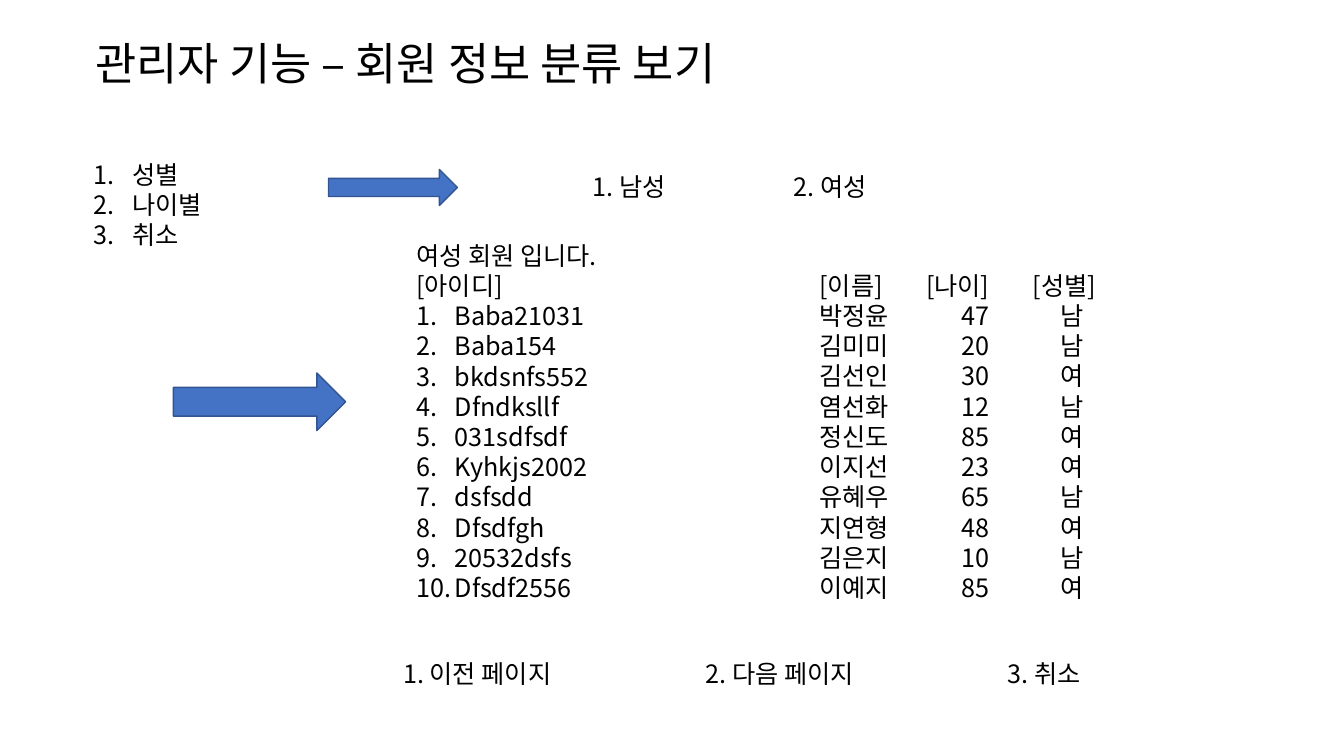
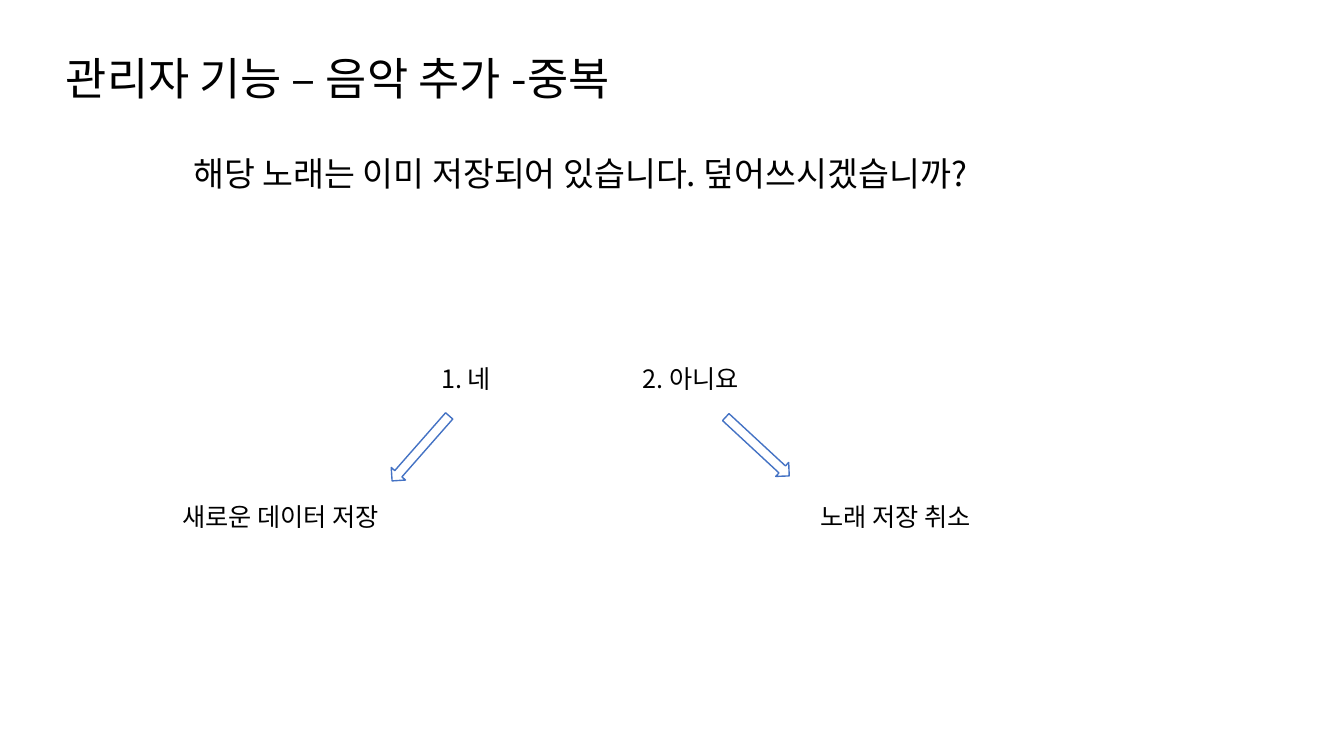
from dataclasses import dataclass
from lxml import etree
from pptx import Presentation
from pptx.dml.color import RGBColor
from pptx.enum.shapes import MSO_SHAPE
from pptx.enum.text import MSO_ANCHOR, MSO_AUTO_SIZE, PP_ALIGN
from pptx.oxml.ns import qn
from pptx.util import Cm, Pt

RIGHT_ARROW = MSO_SHAPE.RIGHT_ARROW
DOWN_ARROW = MSO_SHAPE.DOWN_ARROW
BOTTOM = MSO_ANCHOR.BOTTOM
CENTER, LEFT = PP_ALIGN.CENTER, PP_ALIGN.LEFT
FIT_SHAPE, FIXED_SHAPE = MSO_AUTO_SIZE.SHAPE_TO_FIT_TEXT, MSO_AUTO_SIZE.NONE


@dataclass(frozen=True)
class Theme:
    font: str = "Noto Sans CJK KR"
    text: str = "000000"
    accent: str = "4472C4"
    accent_dark: str = "325491"
    background: str = "FFFFFF"
    title_size: int = 32
    question_size: int = 24
    body_size: int = 18
    line_width: int = 1
    number_indent: float = 0.97


THEME = Theme()
TITLE_ONLY = 5

MEMBER_TITLE = ("관리자 기능 – 회원 정보 분류 보기", (-1.88, 0.66, 24.21, 1.75))
SORT_MENU = ["성별", "나이별", "취소"]
GENDER_CHOICES = ["1. 남성", "2. 여성"]
PAGE_CHOICES = ["1. 이전 페이지", "2. 다음 페이지", "3. 취소"]
MEMBER_MESSAGE = "여성 회원 입니다."
ID_HEADING = "[아이디]"
DETAIL_COLUMNS = [("[이름]", 0), ("[나이]", 0.89), ("[성별]", 0.69)]
MEMBERS = [
    ("Baba21031", "박정윤", "47", "남"),
    ("Baba154", "김미미", "20", "남"),
    ("bkdsnfs552", "김선인", "30", "여"),
    ("Dfndksllf", "염선화", "12", "남"),
    ("031sdfsdf", "정신도", "85", "여"),
    ("Kyhkjs2002", "이지선", "23", "여"),
    ("dsfsdd", "유혜우", "65", "남"),
    ("Dfsdfgh", "지연형", "48", "여"),
    ("20532dsfs", "김은지", "10", "남"),
    ("Dfsdf2556", "이예지", "85", "여"),
]
MEMBER_ARROWS = [(8.28, 4.27, 3.25, 0.91), (4.37, 9.4, 4.34, 1.45)]

DUPLICATE_TITLE = ("관리자 기능 – 음악 추가 -중복", (0, 1.02, 17.02, 1.75))
QUESTION = "해당 노래는 이미 저장되어 있습니다. 덮어쓰시겠습니까?"
ANSWERS = ["1. 네", "2. 아니요"]
OUTCOMES = [
    ("새로운 데이터 저장", (4.34, 12.52, 9.09, 1.02)),
    ("노래 저장 취소", (20.42, 12.52, 13, 1.02)),
]
ANSWER_ARROWS = [
    ((10.36, 10.21, 0.48, 2.18), 41.3),
    ((18.85, 10.16, 0.48, 2.18), 312.8),
]


def lengths(box):
    return [Cm(value) for value in box]


def apply(target, values):
    for name, value in values.items():
        setattr(target, name, value)


def write(paragraph, text, size, align=LEFT):
    run = paragraph.add_run()
    run.text = text
    apply(run.font, {"size": Pt(size), "name": THEME.font, "bold": False})
    run.font.color.rgb = RGBColor.from_string(THEME.text)
    east_asian = etree.SubElement(run.font._element, qn("a:ea"))
    east_asian.set("typeface", THEME.font)
    paragraph.alignment = align


def add_title_slide(presentation, title, box):
    slide = presentation.slides.add_slide(presentation.slide_layouts[TITLE_ONLY])
    shape = slide.shapes.title
    apply(shape, dict(zip(("left", "top", "width", "height"), lengths(box))))
    apply(shape.text_frame, {"vertical_anchor": BOTTOM, "word_wrap": True,
                             "auto_size": FIXED_SHAPE})
    paragraph = shape.text_frame.paragraphs[0]
    write(paragraph, title, THEME.title_size, CENTER)
    paragraph.line_spacing = 0.9
    return slide


def add_text(slide, box, lines, size=THEME.body_size):
    frame = slide.shapes.add_textbox(*lengths(box)).text_frame
    apply(frame, {"word_wrap": True, "auto_size": FIT_SHAPE})
    for index, line in enumerate(lines):
        paragraph = frame.add_paragraph() if index else frame.paragraphs[0]
        write(paragraph, line, size)
    return frame.paragraphs


def indent(paragraphs, distance):
    for paragraph in paragraphs:
        paragraph._p.get_or_add_pPr().set("marL", str(Cm(distance)))


def number(paragraphs):
    indent(paragraphs, THEME.number_indent)
    for paragraph in paragraphs:
        properties = paragraph._p.get_or_add_pPr()
        properties.set("indent", str(-Cm(THEME.number_indent)))
        bullet = etree.SubElement(properties, qn("a:buAutoNum"))
        bullet.set("type", "arabicPeriod")


def add_choices(slide, box, choices, step):
    paragraph = add_text(slide, box, ["\t".join(choices)])[0]
    tabs = etree.SubElement(paragraph._p.get_or_add_pPr(), qn("a:tabLst"))
    for position in range(1, len(choices)):
        tab = etree.SubElement(tabs, qn("a:tab"))
        tab.set("pos", str(Cm(step * position)))
        tab.set("algn", "l")


def add_arrow(slide, kind, box, fill, line, rotation=0):
    arrow = slide.shapes.add_shape(kind, *lengths(box))
    arrow.rotation = rotation
    arrow.shadow.inherit = False
    arrow.fill.solid()
    arrow.fill.fore_color.rgb = RGBColor.from_string(fill)
    arrow.line.color.rgb = RGBColor.from_string(line)
    arrow.line.width = Pt(THEME.line_width)


def build_member_slide(presentation):
    slide = add_title_slide(presentation, *MEMBER_TITLE)
    identifiers, *details = zip(*MEMBERS)
    lines = [MEMBER_MESSAGE, ID_HEADING, *identifiers]
    number(add_text(slide, (10.24, 5.92, 9.9, 10.26), lines)[2:])
    left, top, width, height = 20.4, 6.68, 2.69, 9.5
    for index, ((heading, inset), values) in enumerate(zip(DETAIL_COLUMNS, details)):
        box = (left + index * width, top, width, height)
        indent(add_text(slide, box, [heading, *values])[1:], inset)
    number(add_text(slide, (2.11, 3.89, 5.5, 2.57), SORT_MENU))
    for box in MEMBER_ARROWS:
        add_arrow(slide, RIGHT_ARROW, box, THEME.accent, THEME.accent_dark)
    add_choices(slide, (14.68, 4.19, 14.12, 1.02), GENDER_CHOICES, 5.08)
    add_choices(slide, (9.91, 16.46, 21.72, 1.02), PAGE_CHOICES, 7.62)


def build_duplicate_slide(presentation):
    slide = add_title_slide(presentation, *DUPLICATE_TITLE)
    add_text(slide, (4.62, 3.73, 24.61, 1.27), [QUESTION], THEME.question_size)
    add_choices(slide, (10.87, 9.02, 13.89, 1.02), ANSWERS, 5.08)
    for outcome, box in OUTCOMES:
        add_text(slide, box, [outcome])
    for box, rotation in ANSWER_ARROWS:
        add_arrow(slide, DOWN_ARROW, box, THEME.background, THEME.accent, rotation)


presentation = Presentation()
apply(presentation, {"slide_width": Cm(33.87), "slide_height": Cm(19.05)})
build_member_slide(presentation)
build_duplicate_slide(presentation)
presentation.save("out.pptx")
